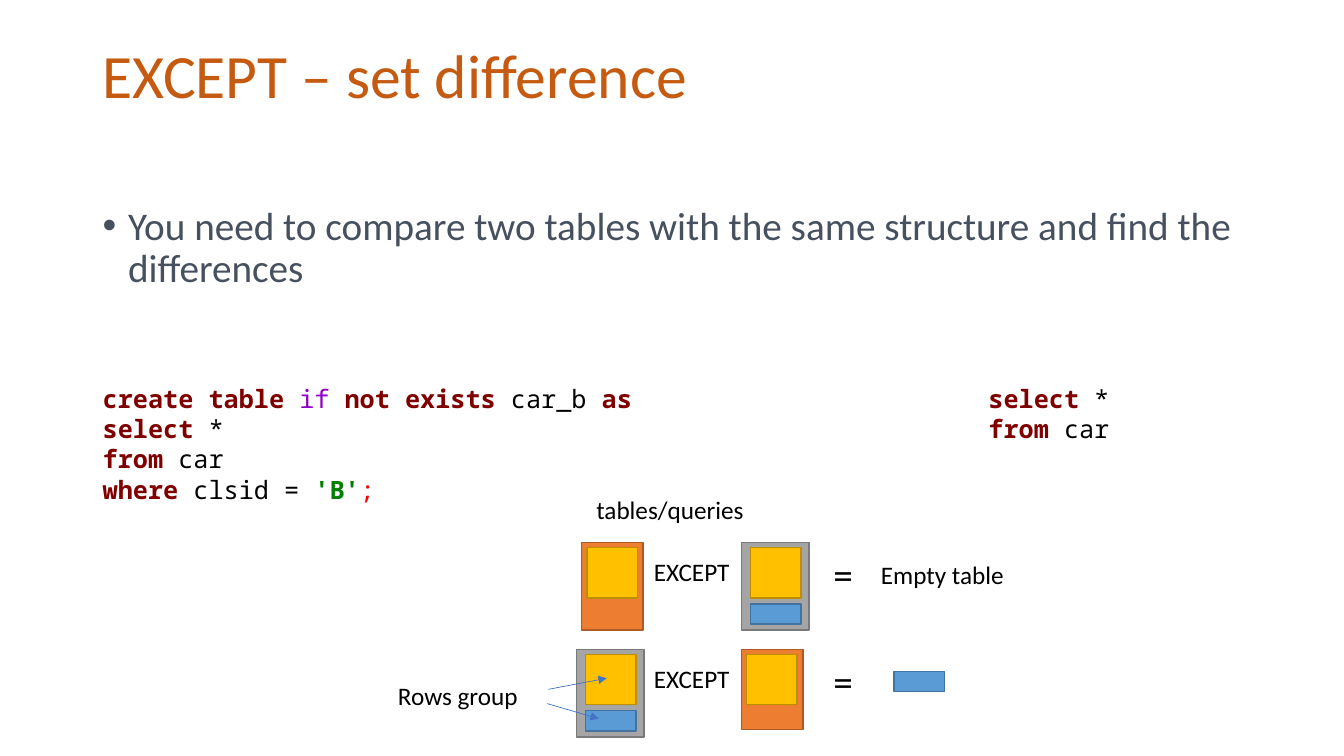
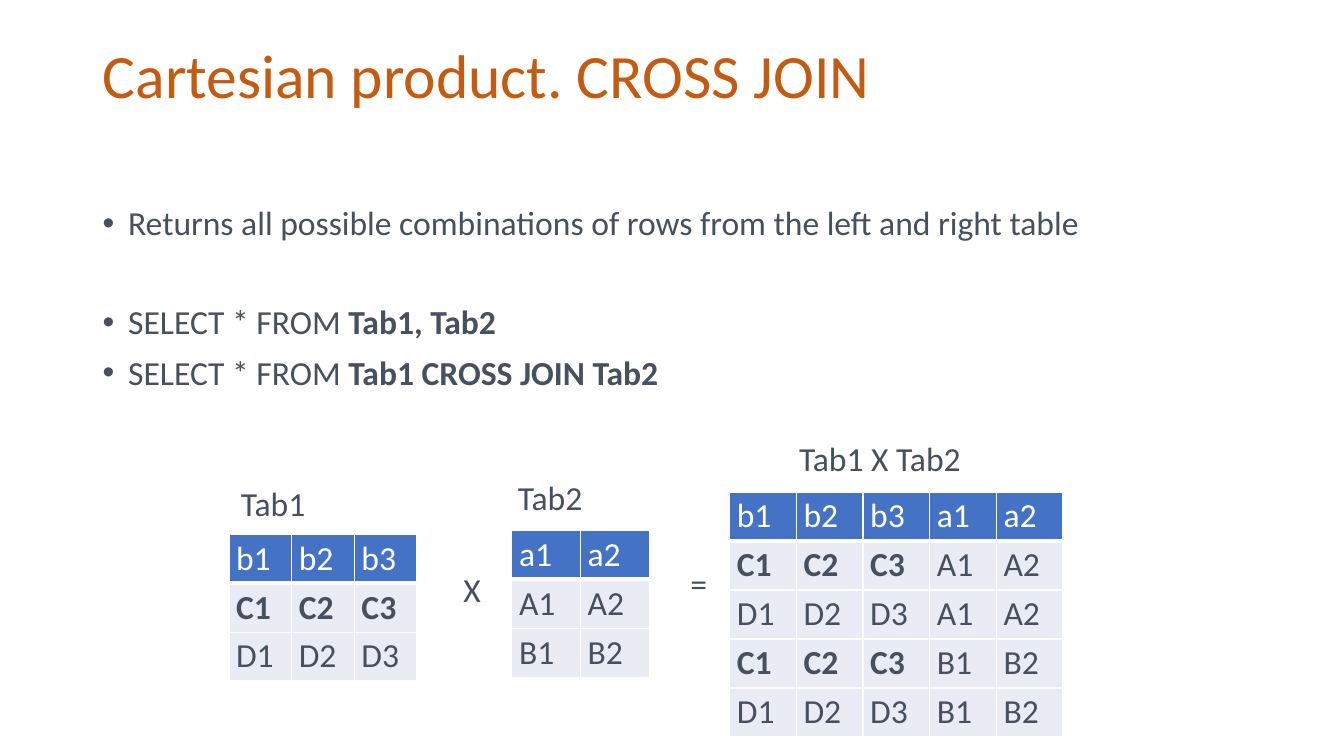
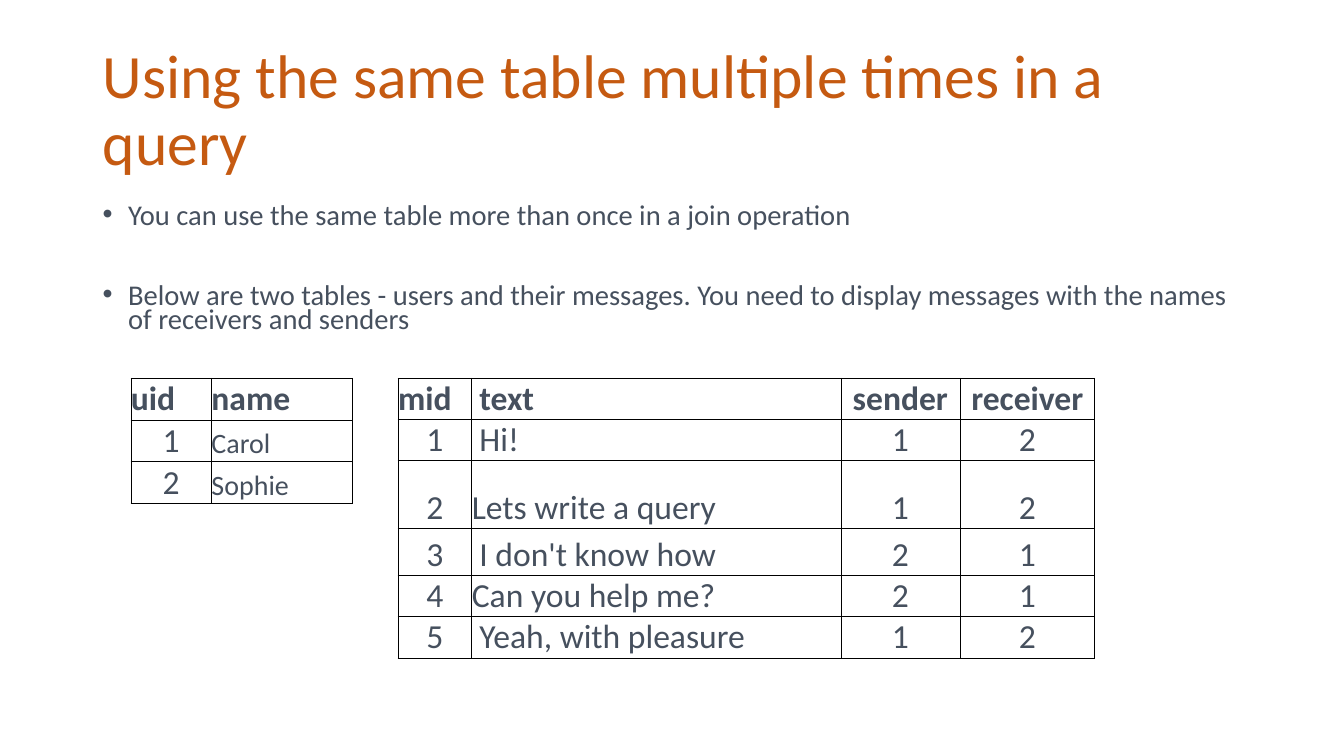
from lxml.etree import SubElement
from pptx import Presentation
from pptx.dml.color import RGBColor
from pptx.enum.shapes import MSO_CONNECTOR, MSO_SHAPE
from pptx.enum.text import MSO_ANCHOR, MSO_AUTO_SIZE, PP_ALIGN
from pptx.oxml.ns import qn
from pptx.util import Cm, Pt

TITLE_ORANGE = RGBColor(0xC5, 0x5A, 0x11)
SLATE = RGBColor(0x46, 0x50, 0x5E)
BLACK = RGBColor(0x00, 0x00, 0x00)
WHITE = RGBColor(0xFF, 0xFF, 0xFF)
HEADER_BLUE = RGBColor(0x44, 0x72, 0xC4)
PALE_BLUE = RGBColor(0xE9, 0xEB, 0xF5)
ORANGE = RGBColor(0xED, 0x7D, 0x31)
ORANGE_EDGE = RGBColor(0xAF, 0x5C, 0x24)
GRAY = RGBColor(0xA5, 0xA5, 0xA5)
GRAY_EDGE = RGBColor(0x7A, 0x7A, 0x7A)
YELLOW = RGBColor(0xFF, 0xC0, 0x00)
YELLOW_EDGE = RGBColor(0xBD, 0x8E, 0x00)
BLUE = RGBColor(0x5B, 0x9B, 0xD5)
BLUE_EDGE = RGBColor(0x43, 0x73, 0x9E)
KEYWORD_RED = RGBColor(0x80, 0x00, 0x00)
CONDITION_PURPLE = RGBColor(0x8E, 0x00, 0xC6)
LITERAL_GREEN = RGBColor(0x00, 0x80, 0x00)
DELIMITER_RED = RGBColor(0xFF, 0x00, 0x00)

TEXT_FONT = "Calibri"
CODE_FONT = "Noto Sans Mono"
CONTENT_LEFT, CONTENT_WIDTH = 2.34, 29.21

KEYWORD = (KEYWORD_RED, True)
PLAIN = (BLACK, False)
CONDITION = (CONDITION_PURPLE, False)
LITERAL = (LITERAL_GREEN, True)
DELIMITER = (DELIMITER_RED, False)

SELECT_CAR = [
    [("select", KEYWORD), (" *", PLAIN)],
    [("from", KEYWORD), (" car", PLAIN)],
]
CREATE_CAR_B = [
    [("create table ", KEYWORD), ("if ", CONDITION), ("not exists ", KEYWORD),
     ("car_b ", PLAIN), ("as", KEYWORD)],
    *SELECT_CAR,
    [("where ", KEYWORD), ("clsid = ", PLAIN), ("'B'", LITERAL), (";", DELIMITER)],
]

TAB1 = [["b1", "b2", "b3"], ["C1", "C2", "C3"], ["D1", "D2", "D3"]]
TAB2 = [["a1", "a2"], ["A1", "A2"], ["B1", "B2"]]
CROSS_JOIN = [TAB1[0] + TAB2[0]] + [
    left + right for right in TAB2[1:] for left in TAB1[1:]
]
USERS = [["uid", "name"], ["1", "Carol"], ["2", "Sophie"]]
MESSAGES = [
    ["mid", " text", "sender", "receiver"],
    ["1", " Hi!", "1", "2"],
    ["2", "Lets write a query", "1", "2"],
    ["3", " I don't know how", "2", "1"],
    ["4", "Can you help me?", "2", "1"],
    ["5", " Yeah, with pleasure", "1", "2"],
]


def set_values(target, values):
    for name, value in values.items():
        setattr(target, name, value)


def add_run(paragraph, text, size, color, bold=False, font=TEXT_FONT):
    run = paragraph.add_run()
    run.text = text
    set_values(run.font, {"name": font, "size": Pt(size), "bold": bold})
    run.font.color.rgb = color


def add_frame(slide, left, top, width, height, wrap=True, fit=False):
    frame = slide.shapes.add_textbox(Cm(left), Cm(top), Cm(width), Cm(height)).text_frame
    set_values(frame, {
        "word_wrap": wrap,
        "auto_size": MSO_AUTO_SIZE.SHAPE_TO_FIT_TEXT if fit else MSO_AUTO_SIZE.NONE,
    })
    return frame


def paragraphs(frame, items):
    for index, item in enumerate(items):
        yield (frame.add_paragraph() if index else frame.paragraphs[0]), item


def add_titled_slide(deck, title):
    slide = deck.slides.add_slide(deck.slide_layouts[6])
    frame = add_frame(slide, CONTENT_LEFT, 1.02, CONTENT_WIDTH, 3.68)
    paragraph = frame.paragraphs[0]
    paragraph.line_spacing = 0.9
    add_run(paragraph, title, 44, TITLE_ORANGE)
    return slide


def add_bullets(slide, height, size, points, line_spacing=0.9):
    frame = add_frame(slide, CONTENT_LEFT, 5.08, CONTENT_WIDTH, height)
    for paragraph, (space_before, text, strong) in paragraphs(frame, points):
        set_values(paragraph, {"line_spacing": line_spacing, "space_before": Pt(space_before)})
        properties = paragraph._p.get_or_add_pPr()
        properties.set("marL", str(Cm(0.64)))
        properties.set("indent", str(Cm(-0.64)))
        SubElement(properties, qn("a:buFont"), typeface="Arial")
        SubElement(properties, qn("a:buChar"), char="•")
        add_run(paragraph, text, size, SLATE)
        if strong:
            add_run(paragraph, strong, size, SLATE, bold=True)


def add_code(slide, left, width, height, lines):
    frame = add_frame(slide, left, 9.53, width, height, wrap=False, fit=True)
    for paragraph, line in paragraphs(frame, lines):
        for text, (color, bold) in line:
            add_run(paragraph, text, 18, color, bold, CODE_FONT)


def add_label(slide, text, left, top, width, height=1.02, size=18, color=BLACK, wrap=False):
    frame = add_frame(slide, left, top, width, height, wrap, fit=True)
    add_run(frame.paragraphs[0], text, size, color)


def add_block(slide, left, top, width, height, fill, edge):
    block = slide.shapes.add_shape(
        MSO_SHAPE.RECTANGLE, Cm(left), Cm(top), Cm(width), Cm(height))
    block.shadow.inherit = False
    block.fill.solid()
    block.fill.fore_color.rgb = fill
    block.line.color.rgb = edge
    block.line.width = Pt(1)


def add_common_rows(slide, left, top):
    add_block(slide, left, top, 1.27, 1.27, YELLOW, YELLOW_EDGE)


def add_extra_rows(slide, left, top):
    add_block(slide, left, top, 1.27, 0.51, BLUE, BLUE_EDGE)


def add_subset(slide, left, top, height):
    add_block(slide, left, top, 1.55, height, ORANGE, ORANGE_EDGE)
    add_common_rows(slide, left + 0.13, top + 0.13)


def add_superset(slide, left, top):
    add_block(slide, left, top, 1.7, 2.21, GRAY, GRAY_EDGE)
    add_common_rows(slide, left + 0.23, top + 0.13)
    add_extra_rows(slide, left + 0.23, top + 1.55)


def add_operators(slide, top):
    add_label(slide, "EXCEPT", 16.23, top + 0.23, 2.44)
    add_label(slide, "=", 20.75, top + 0.08, 0.86, 1.45, 28, wrap=True)


def add_arrow(slide, start, end):
    arrow = slide.shapes.add_connector(
        MSO_CONNECTOR.STRAIGHT, *(Cm(value) for value in start + end))
    arrow.line.color.rgb = HEADER_BLUE
    arrow.line.width = Pt(0.5)
    SubElement(arrow.line._get_or_add_ln(), qn("a:tailEnd"), type="triangle")
    SubElement(arrow._element.spPr, qn("a:effectLst"))


def set_borders(cell, color, widths):
    properties = cell._tc.get_or_add_tcPr()
    for side, width in zip("LRTB", widths):
        line = SubElement(properties, qn(f"a:ln{side}"), w=str(Pt(width)))
        fill = SubElement(line, qn("a:solidFill"))
        SubElement(fill, qn("a:srgbClr"), val=str(color))


def style_product_cell(cell, row, text):
    header = row == 0
    set_borders(cell, WHITE, (1, 1, 1, 3 if header else 1))
    cell.fill.solid()
    cell.fill.fore_color.rgb = HEADER_BLUE if header else PALE_BLUE
    set_values(cell, {"margin_left": Cm(0.18), "margin_right": Cm(0.18),
                      "margin_top": Cm(0.1), "margin_bottom": Cm(0.1)})
    add_run(cell.text_frame.paragraphs[0], text, 24,
            WHITE if header else SLATE, text.startswith("C"))


def style_message_cell(cell, row, text):
    set_borders(cell, BLACK, (0.5,) * 4)
    cell.fill.background()
    set_values(cell, {"margin_left": 0, "margin_right": 0, "margin_top": 0,
                      "margin_bottom": 0, "vertical_anchor": MSO_ANCHOR.BOTTOM})
    paragraph = cell.text_frame.paragraphs[0]
    if text.isdigit() or text in ("sender", "receiver"):
        paragraph.alignment = PP_ALIGN.CENTER
    size = 20 if text in ("Carol", "Sophie") else 24
    add_run(paragraph, text, size, SLATE, row == 0)


def add_grid(slide, left, top, widths, heights, rows, style_cell):
    table = slide.shapes.add_table(
        len(rows), len(widths), Cm(left), Cm(top),
        Cm(sum(widths)), Cm(sum(heights))).table
    table.horz_banding = False
    for column, width in zip(table.columns, widths):
        column.width = Cm(width)
    for table_row, height in zip(table.rows, heights):
        table_row.height = Cm(height)
    for row, texts in enumerate(rows):
        for column, text in enumerate(texts):
            style_cell(table.cell(row, column), row, text)


def add_product_table(slide, left, top, column_width, rows):
    add_grid(slide, left, top, [column_width] * len(rows[0]),
             [1.21] * len(rows), rows, style_product_cell)


def build_except(deck):
    slide = add_titled_slide(deck, "EXCEPT – set difference")
    add_bullets(slide, 2.87, 28, [
        (0, "You need to compare two tables with the same structure and find the differences", ""),
    ])
    add_code(slide, CONTENT_LEFT, 14.3, 3.33, CREATE_CAR_B)
    add_code(slide, 24.66, 3.96, 1.8, SELECT_CAR)
    add_label(slide, "tables/queries", 14.78, 12.32, 4.27)

    empty_top, rest_top = 13.67, 16.36
    add_subset(slide, 14.66, empty_top, 2.21)
    add_superset(slide, 18.69, empty_top)
    add_label(slide, "Empty table", 21.95, 13.97, 3.63)
    add_superset(slide, 14.53, rest_top)
    add_subset(slide, 18.69, rest_top, 2.03)
    add_extra_rows(slide, 22.53, 16.92)
    for top in (empty_top, rest_top):
        add_operators(slide, top)

    add_label(slide, "Rows group", 9.78, 17.02, 3.56)
    add_arrow(slide, (13.82, 17.37), (15.29, 17.09))
    add_arrow(slide, (13.79, 17.73), (15.09, 18.11))


def build_cross_join(deck):
    slide = add_titled_slide(deck, "Cartesian product. CROSS JOIN")
    add_bullets(slide, 6.12, 24, [
        (0, "Returns all possible combinations of rows from the left and right table", ""),
        (45, "SELECT * FROM ", "Tab1, Tab2"),
        (10, "SELECT * FROM ", "Tab1 CROSS JOIN Tab2"),
    ])
    add_product_table(slide, 5.77, 13.46, 1.58, TAB1)
    add_product_table(slide, 12.9, 13.36, 1.73, TAB2)
    add_product_table(slide, 18.39, 12.4, 1.68, CROSS_JOIN)
    for text, left, top, width in (
        ("Tab1", 5.82, 12.04, 2.97),
        ("Tab2", 12.8, 11.89, 2.34),
        ("Tab1 X Tab2", 19.89, 10.9, 4.93),
        ("X", 11.43, 14.2, 0.74),
        ("=", 17.15, 14.07, 0.74),
    ):
        add_label(slide, text, left, top, width, 1.27, 24, SLATE, wrap=True)


def build_messages(deck):
    slide = add_titled_slide(deck, "Using the same table multiple times in a query")
    add_bullets(slide, 3.68, 20.4, [
        (0, "You can use the same table more than once in a join operation", ""),
        (40, "Below are two tables - users and their messages. You need to display "
             "messages with the names of receivers and senders", ""),
    ], line_spacing=0.7)
    add_grid(slide, 10.03, 9.53, [1.86, 9.3, 3, 3.4],
             [1.03, 1.03, 1.71, 1.2, 1.03, 1.03], MESSAGES, style_message_cell)
    add_grid(slide, 3.3, 9.53, [2.03, 3.56], [1.05] * 3, USERS, style_message_cell)


def main():
    deck = Presentation()
    set_values(deck, {"slide_width": Cm(33.87), "slide_height": Cm(19.05)})
    for build in (build_except, build_cross_join, build_messages):
        build(deck)
    deck.save("out.pptx")


if __name__ == "__main__":
    main()
